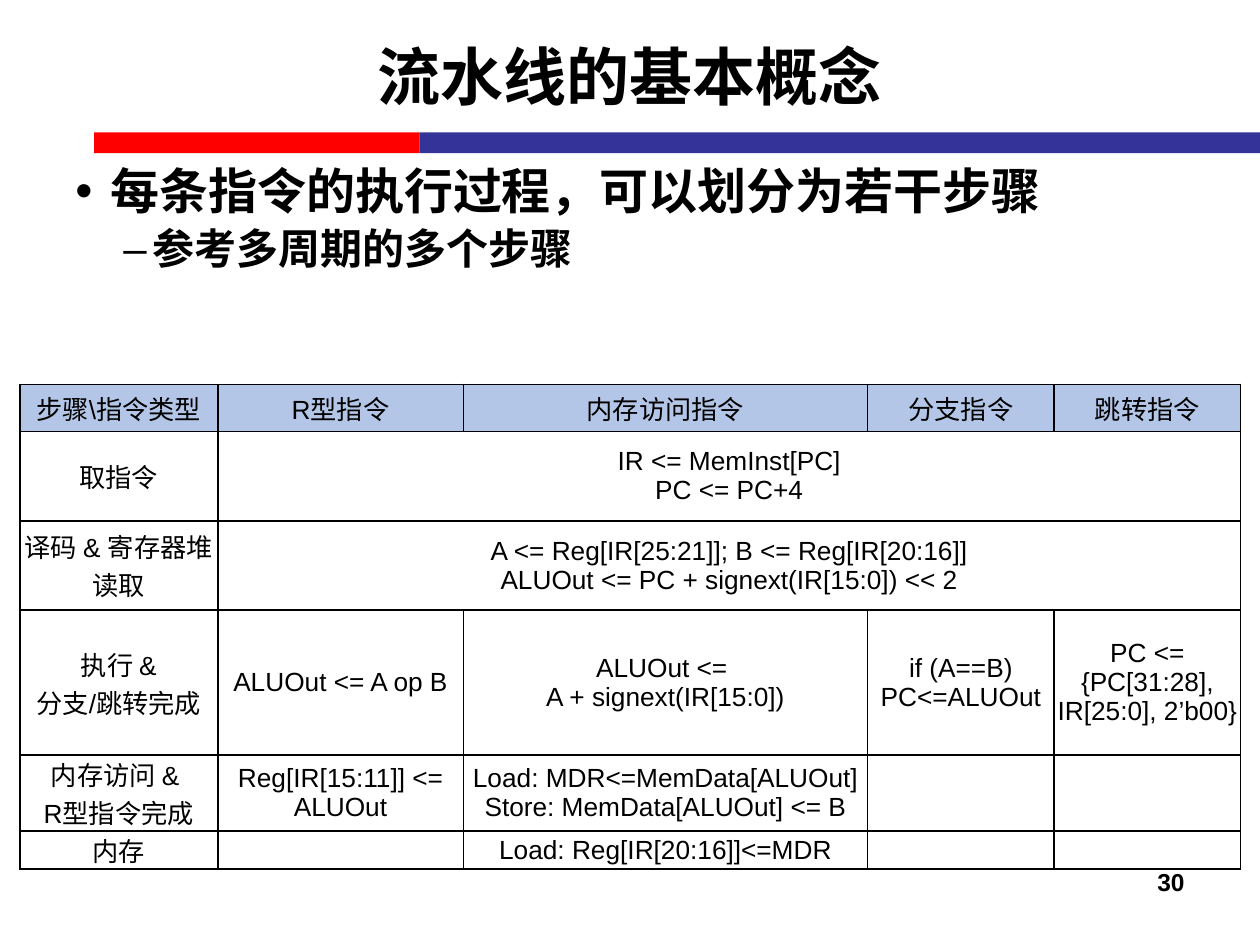
from dataclasses import dataclass

from lxml.etree import SubElement
from pptx import Presentation
from pptx.dml.color import RGBColor
from pptx.enum.shapes import MSO_SHAPE as Preset
from pptx.enum.text import MSO_ANCHOR as Anchor, PP_ALIGN as Align
from pptx.oxml.ns import qn
from pptx.slide import Slide
from pptx.util import Cm, Pt

HEADERS = ["步骤\\指令类型", "R型指令", "内存访问指令", "分支指令", "跳转指令"]
ROWS = [
    HEADERS,
    ["取指令", "IR <= MemInst[PC]\nPC <= PC+4"],
    ["译码 & 寄存器堆读取",
     "A <= Reg[IR[25:21]]; B <= Reg[IR[20:16]]\nALUOut <= PC + signext(IR[15:0]) << 2"],
    ["执行 &\n分支/跳转完成", "ALUOut <= A op B", "ALUOut <= \nA + signext(IR[15:0])",
     "if (A==B) PC<=ALUOut", "PC <= {PC[31:28], IR[25:0], 2’b00}"],
    ["内存访问 & \nR型指令完成", "Reg[IR[15:11]] <= ALUOut",
     "Load: MDR<=MemData[ALUOut]\nStore: MemData[ALUOut] <= B", "", ""],
    ["内存", "", "Load: Reg[IR[20:16]]<=MDR", "", ""],
]
COLUMN_WIDTHS = [3.99, 4.95, 8.15, 3.76, 3.76]
ROW_HEIGHTS = [0.95, 1.8, 1.8, 2.92, 1.53, 0.77]


def color(value):
    return RGBColor.from_string(value)


def write(paragraph, text, size=15, bold=False, align=Align.LEFT, font="Arial", ink="000000"):
    paragraph.alignment = align
    run = paragraph.add_run()
    run.text = text
    run.font.name, run.font.size, run.font.bold = font, Pt(size), bold
    run.font.color.rgb = color(ink)


@dataclass
class SlideBuilder:
    """Draw styled elements on the current slide."""

    slide: Slide
    line: str = "000000"
    header: str = "B4C6E7"

    def bar(self, left, top, width, height, fill):
        shape = self.slide.shapes.add_shape(
            Preset.RECTANGLE, Cm(left), Cm(top), Cm(width), Cm(height))
        shape.shadow.inherit = False
        shape.fill.solid()
        shape.fill.fore_color.rgb = color(fill)
        shape.line.fill.background()

    def frame(self, left, top, width, height, anchor=Anchor.TOP):
        box = self.slide.shapes.add_textbox(Cm(left), Cm(top), Cm(width), Cm(height))
        box.text_frame.word_wrap = True
        box.text_frame.vertical_anchor = anchor
        return box.text_frame

    def text(self, text, left, top, width, height, anchor=Anchor.TOP, **style):
        frame = self.frame(left, top, width, height, anchor)
        write(frame.paragraphs[0], text, **style)

    def bullets(self, items, left, top, width, height):
        frame = self.frame(left, top, width, height)
        for index, (text, mark, margin, hanging, size) in enumerate(items):
            paragraph = frame.add_paragraph() if index else frame.paragraphs[0]
            paragraph.level = index
            paragraph.line_spacing = 0.9
            if index:
                paragraph.space_before = Pt(size * 0.2)
            properties = paragraph._p.get_or_add_pPr()
            properties.set("marL", str(Cm(margin)))
            properties.set("indent", str(-Cm(hanging)))
            SubElement(properties, qn("a:buFont"), typeface="Arial")
            SubElement(properties, qn("a:buChar"), char=mark)
            write(paragraph, text, size=size, bold=True)

    def borders(self, cell):
        properties = cell._tc.get_or_add_tcPr()
        for side in ("lnL", "lnR", "lnT", "lnB"):
            edge = SubElement(properties, qn(f"a:{side}"), w=str(Pt(1)))
            fill = SubElement(edge, qn("a:solidFill"))
            SubElement(fill, qn("a:srgbClr"), val=self.line)

    def cell(self, cell, text, is_header, is_merged):
        cell.margin_left = cell.margin_right = 0
        cell.margin_top = cell.margin_bottom = Cm(0.13) if is_merged else 0
        cell.vertical_anchor = Anchor.MIDDLE
        self.borders(cell)
        if is_header:
            cell.fill.solid()
            cell.fill.fore_color.rgb = color(self.header)
        else:
            cell.fill.background()
        for index, line in enumerate(text.split("\n") if text else []):
            frame = cell.text_frame
            paragraph = frame.add_paragraph() if index else frame.paragraphs[0]
            write(paragraph, line, align=Align.CENTER)

    def table(self, rows, widths, heights, left, top):
        table = self.slide.shapes.add_table(
            len(rows), len(widths), Cm(left), Cm(top),
            Cm(sum(widths)), Cm(sum(heights))).table
        table.first_row = table.horz_banding = False
        for column, width in zip(table.columns, widths):
            column.width = Cm(width)
        for row, height in zip(table.rows, heights):
            row.height = Cm(height)
        last = len(widths) - 1
        for r, texts in enumerate(rows):
            spans = len(texts) == 2
            for c in range(len(widths)):
                text = texts[c] if c < len(texts) else ""
                self.cell(table.cell(r, c), text, r == 0, spans and c > 0)
            if spans:
                table.cell(r, 1).merge(table.cell(r, last))


def main():
    presentation = Presentation()
    presentation.slide_width, presentation.slide_height = Cm(25.4), Cm(19.05)
    builder = SlideBuilder(presentation.slides.add_slide(presentation.slide_layouts[6]))
    builder.bar(1.9, 2.67, 6.56, 0.42, "FF0000")
    builder.bar(8.46, 2.67, 16.94, 0.42, "333399")
    builder.text("流水线的基本概念", 1.27, 0.38, 22.86, 2.29, Anchor.MIDDLE,
                 size=36, bold=True, align=Align.CENTER)
    builder.bullets([
        ("每条指令的执行过程，可以划分为若干步骤", "•", 0.71, 0.71, 28),
        ("参考多周期的多个步骤", "–", 1.55, 0.58, 24),
    ], 1.27, 3.25, 22.86, 12.57)
    builder.text("30", 18.21, 17.35, 5.92, 1.32, size=14, bold=True, align=Align.RIGHT)
    builder.table(ROWS, COLUMN_WIDTHS, ROW_HEIGHTS, 0.4, 7.75)
    presentation.save("out.pptx")


if __name__ == "__main__":
    main()
